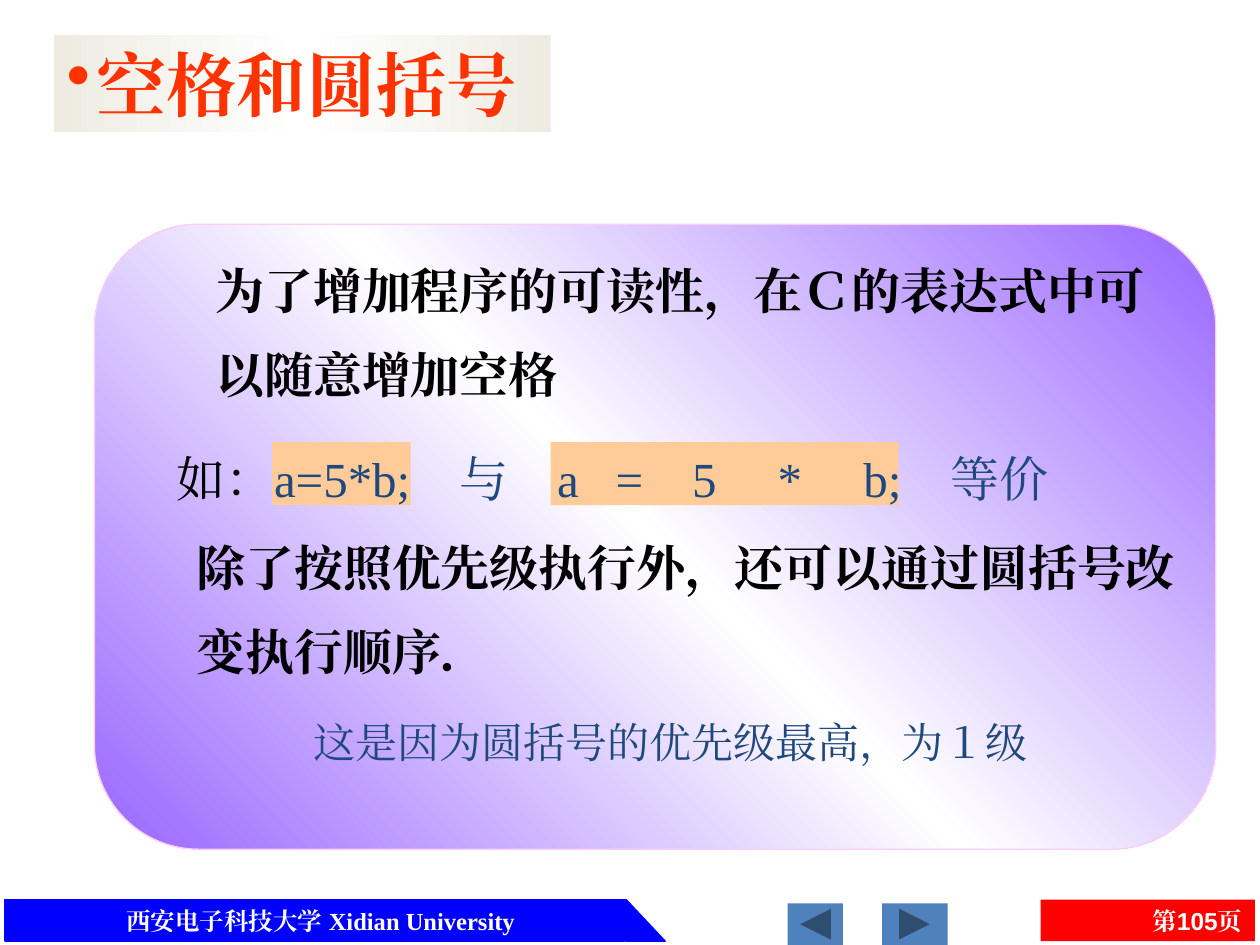
from copy import deepcopy

from lxml import etree
from pptx import Presentation
from pptx.dml.color import RGBColor
from pptx.enum.shapes import MSO_SHAPE
from pptx.enum.text import MSO_ANCHOR, PP_ALIGN
from pptx.oxml.ns import qn
from pptx.util import Inches, Pt

RECT = MSO_SHAPE.RECTANGLE
TRIANGLE = MSO_SHAPE.RIGHT_TRIANGLE
PANEL = MSO_SHAPE.FLOWCHART_ALTERNATE_PROCESS
NEXT_BUTTON = MSO_SHAPE.ACTION_BUTTON_FORWARD_OR_NEXT
LEFT, CENTER, RIGHT = PP_ALIGN.LEFT, PP_ALIGN.CENTER, PP_ALIGN.RIGHT
TOP, MIDDLE = MSO_ANCHOR.TOP, MSO_ANCHOR.MIDDLE

SERIF, SANS, CJK = "Times New Roman", "Arial", "Noto Sans CJK SC"
BLACK, WHITE, NAVY = "000000", "FFFFFF", "1F497D"
BLUE, RED, PEACH, STEEL = "0000FF", "FF0000", "FFCC99", "4F81BD"


def rgb(value):
    return RGBColor.from_string(value)


def add_block(slide, kind, box, fill, line=None):
    """A preset shape with a plain fill, or a gradient when fill is a list."""
    shape = slide.shapes.add_shape(kind, *map(Inches, box))
    shape.shadow.inherit = False
    if isinstance(fill, list):
        shape.fill.gradient()
        stop_list = shape._element.spPr.find(".//" + qn("a:gsLst"))
        stop_list.append(deepcopy(stop_list[0]))
        for i, (stop, color) in enumerate(zip(shape.fill.gradient_stops, fill)):
            stop.color.rgb = rgb(color)
            stop.position = i / (len(fill) - 1)
    else:
        shape.fill.solid()
        shape.fill.fore_color.rgb = rgb(fill)
    if line:
        shape.line.color.rgb = rgb(line)
        shape.line.width = Pt(0.75)
    else:
        shape.line.fill.background()
    return shape


def add_text_box(slide, box):
    return slide.shapes.add_textbox(*map(Inches, box))


def write(shape, lines, size, font=SERIF, align=LEFT, anchor=TOP,
          indent=0, bullet=None):
    """Each line is a list of (text, color, bold) runs."""
    frame = shape.text_frame
    frame.word_wrap = True
    frame.vertical_anchor = anchor
    for i, runs in enumerate(lines):
        paragraph = frame.add_paragraph() if i else frame.paragraphs[0]
        paragraph.alignment = align
        if i:
            paragraph.space_before = Pt(size / 2)
        properties = paragraph._p.get_or_add_pPr()
        if indent:
            properties.set("marL", str(Inches(indent)))
        if bullet:
            properties.set("indent", str(-Inches(indent)))
            etree.SubElement(properties, qn("a:buChar")).set("char", bullet)
        for text, color, bold in runs:
            run = paragraph.add_run()
            run.text = text
            run.font.size = Pt(size)
            run.font.name = font
            run.font.bold = bold
            run.font.color.rgb = rgb(color)
            run_properties = run._r.get_or_add_rPr()
            run_properties.set("lang", "zh-CN")
            east_asian = etree.SubElement(run_properties, qn("a:ea"))
            east_asian.set("typeface", SERIF)


def add_footer(slide, left, top, height):
    # School band with its slanted end
    add_block(slide, RECT, (left, top, 4.92, height), BLUE, BLUE)
    add_block(slide, TRIANGLE, (left + 4.93, top, 0.31, height), BLUE, BLUE)
    school = add_text_box(slide, (left + 0.29, top, 4.43, height))
    write(school, [[("西安电子科技大学 Xidian University", WHITE, True)]],
          14, align=CENTER)

    # Page number
    page = add_block(slide, RECT, (left + 8.22, top, 1.7, height), RED)
    write(page, [[("第105页", WHITE, True)]], 14, SANS, RIGHT, MIDDLE)

    # Forward and back buttons
    for offset, width, turn in ((6.96, 0.52, 0), (6.21, 0.44, 180)):
        button = add_block(slide, NEXT_BUTTON,
                           (left + offset, top + 0.03, width, height), STEEL)
        button.rotation = turn


def add_title(slide, box):
    title = add_block(slide, RECT, box, ["EEECE1", WHITE, "EEECE1"])
    title.fill.gradient_angle = 0
    write(title, [[("空格和圆括号", "FF3300", True)]], 40,
          indent=0.24, bullet="•")


def add_rules_panel(slide, left, top, width, height):
    panel = add_block(slide, PANEL, (left, top, width, height),
                      ["9966FF", WHITE, "9966FF"], "FFCCFF")
    panel.fill.gradient_angle = 45

    # Rule on spaces
    spaces = add_text_box(slide, (left + 0.08, top + 0.24, 8.55, 1.27))
    write(spaces, [[("为了增加程序的可读性，在Ｃ的表达式中可", BLACK, True)],
                   [("以随意增加空格", BLACK, True)]], 28, indent=0.78)

    # Rule on parentheses
    parentheses = add_text_box(slide, (left + 0.71, top + 2.44, 8.31, 1.27))
    write(parentheses, [[("除了按照优先级执行外，还可以通过圆括号改", BLACK, True)],
                        [("变执行顺序．", BLACK, True)]], 28)

    # Equivalent expressions on highlights
    example_top = top + 1.73
    for offset, span in ((1.41, 1.1), (3.62, 2.76)):
        add_block(slide, RECT, (left + offset, example_top, span, 0.5), PEACH)
    example = add_text_box(slide, (left + 0.55, example_top, 8.31, 0.57))
    write(example, [[("如：", BLACK, False),
                     ("a=5*b;　与　a   =    5     *     b;　等价", NAVY, False)]], 28)

    # Reason
    reason = add_text_box(slide, (left + 1.26, top + 3.86, 6.62, 0.5))
    write(reason, [[("这是因为圆括号的优先级最高，为１级", NAVY, False)]],
          24, CJK, CENTER)


def main():
    presentation = Presentation()
    presentation.slide_width = Inches(10)
    presentation.slide_height = Inches(7.5)
    slide = presentation.slides.add_slide(presentation.slide_layouts[6])
    add_footer(slide, 0.04, 7.14, 0.33)
    add_rules_panel(slide, 0.75, 1.78, 8.9, 4.96)
    add_title(slide, (0.43, 0.28, 3.94, 0.77))
    presentation.save("out.pptx")


if __name__ == "__main__":
    main()
